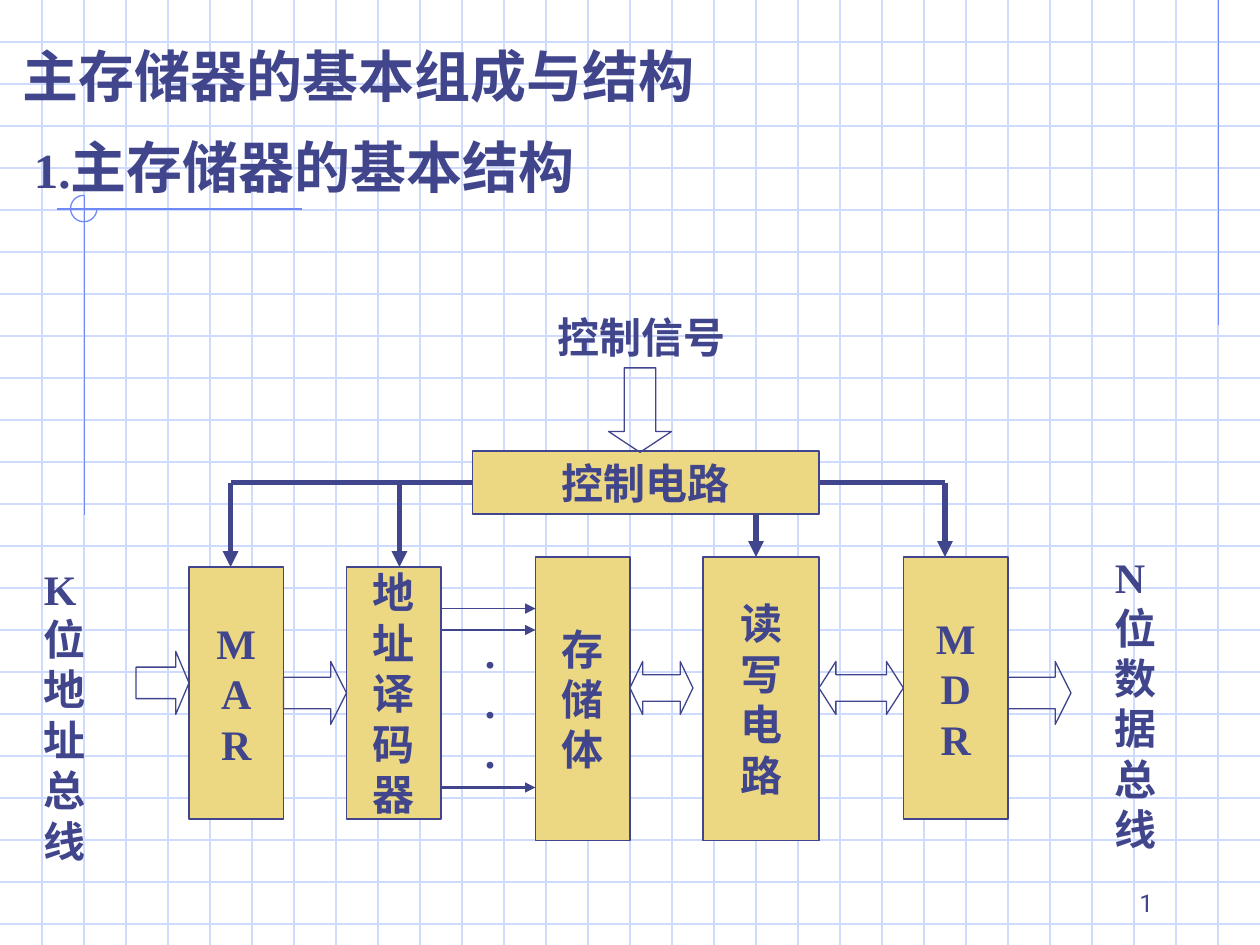
from dataclasses import dataclass

from lxml import etree
from pptx import Presentation
from pptx import util as u
from pptx.dml.color import RGBColor
from pptx.enum import shapes, text
from pptx.oxml.ns import qn

Inches, Pt = u.Inches, u.Pt
Shape, Align, Anchor = shapes.MSO_SHAPE, text.PP_ALIGN, text.MSO_ANCHOR


@dataclass(frozen=True)
class Theme:
    ink: RGBColor = RGBColor(0x40, 0x45, 0x8C)
    box: RGBColor = RGBColor(0xEC, 0xD8, 0x82)
    grid: RGBColor = RGBColor(0xCF, 0xDB, 0xFD)
    accent: RGBColor = RGBColor(0x6F, 0x89, 0xF7)
    sans: str = "Roboto"
    serif: str = "Times New Roman"
    title: int = 32
    number: int = 28
    body: int = 24
    page: int = 14
    thin: float = 0.75
    medium: float = 1.5
    thick: float = 3


T = Theme()


def add_run(p, words, size=T.body, font=T.serif, bold=True):
    r = p.add_run()
    r.text = words
    r.font.size, r.font.name, r.font.bold = Pt(size), font, bold
    r.font.color.rgb = T.ink


def add_line(s, start, end, color=T.ink, width=T.thin, arrow=False):
    c = s.shapes.add_connector(shapes.MSO_CONNECTOR.STRAIGHT,
                               *map(Inches, start + end))
    c.line.color.rgb, c.line.width = color, Pt(width)
    pr = c.element.spPr
    if arrow:
        etree.SubElement(pr.find(qn("a:ln")), qn("a:tailEnd"), type="triangle")
    etree.SubElement(pr, qn("a:effectLst"))


def add_outline(s, kind, at, adjust=(), color=T.ink):
    sp = s.shapes.add_shape(kind, *map(Inches, at))
    sp.shadow.inherit = False
    sp.fill.background()
    sp.line.color.rgb, sp.line.width = color, Pt(T.thin)
    for i, value in enumerate(adjust):
        sp.adjustments[i] = value
    return sp


def add_box(s, rows, at):
    sp = add_outline(s, Shape.RECTANGLE, at)
    sp.fill.solid()
    sp.fill.fore_color.rgb = T.box
    tf = sp.text_frame
    tf.word_wrap, tf.vertical_anchor = False, Anchor.MIDDLE
    for i, row in enumerate(rows):
        p = tf.add_paragraph() if i else tf.paragraphs[0]
        p.alignment = Align.CENTER
        add_run(p, row)


def add_label(s, at, before=15):
    tf = s.shapes.add_textbox(*map(Inches, at)).text_frame
    tf.word_wrap, tf.auto_size = True, text.MSO_AUTO_SIZE.SHAPE_TO_FIT_TEXT
    p = tf.paragraphs[0]
    p.space_before = Pt(before)
    return p


def add_background(s):
    for i in range(1, 23):
        add_line(s, (0, i / 3), (10, i / 3), T.grid)
    for i in range(1, 30):
        add_line(s, (i / 3, 0), (i / 3, 7.5), T.grid)
    add_line(s, (9.67, 0), (9.67, 2.58), T.accent)
    add_line(s, (2.4, 1.66), (0.45, 1.66), T.accent)
    add_line(s, (0.67, 1.55), (0.67, 4.09), T.accent)
    add_outline(s, Shape.ARC, (0.56, 1.55, 0.21, 0.21), (0, 162), T.accent)


def add_page_number(s):
    tf = s.shapes.add_textbox(*map(Inches, (7.17, 6.83, 2.08, 0.5))).text_frame
    tf.word_wrap, tf.vertical_anchor = True, Anchor.BOTTOM
    tf.paragraphs[0].alignment = Align.RIGHT
    add_run(tf.paragraphs[0], "1", T.page, T.sans, False)


def add_diagram(s):
    for rows, at in (
        ("MAR", (1.5, 4.5, 0.75, 2)),
        ("地址译码器", (2.75, 4.5, 0.75, 2)),
        ("存储体", (4.25, 4.42, 0.75, 2.25)),
        ("读写电路", (5.58, 4.42, 0.92, 2.25)),
        ("MDR", (7.17, 4.42, 0.83, 2.08)),
        (["控制电路"], (3.75, 3.58, 2.75, 0.5)),
    ):
        add_box(s, rows, at)

    for kind, at, head in (
        (Shape.RIGHT_ARROW, (1.08, 5.17, 0.42, 0.5), 0.25),
        (Shape.RIGHT_ARROW, (2.25, 5.25, 0.5, 0.5), 0.25),
        (Shape.LEFT_RIGHT_ARROW, (5, 5.25, 0.5, 0.42), 0.24),
        (Shape.LEFT_RIGHT_ARROW, (6.5, 5.25, 0.67, 0.42), 0.32),
        (Shape.RIGHT_ARROW, (8, 5.25, 0.5, 0.5), 0.25),
        (Shape.DOWN_ARROW, (4.83, 2.92, 0.5, 0.67), 0.33),
    ):
        add_outline(s, kind, at, (0.5, head))

    for y, width in ((4.83, T.thin), (5, T.thin), (6.25, T.medium)):
        add_line(s, (3.5, y), (4.25, y), width=width, arrow=True)

    bus = 3.83
    for start, end in ((6.5, 7.5), (3.75, 1.83)):
        add_line(s, (start, bus), (end, bus), width=T.thick)
    for x, top, bottom in ((6, 4.08, 4.42), (7.5, bus, 4.42),
                           (1.83, bus, 4.5), (3.17, bus, 4.5)):
        add_line(s, (x, top), (x, bottom), width=T.thick, arrow=True)

    for words, at in (
        ("K位地址总线", (0.25, 4.42, 0.58, 2.5)),
        ("...", (3.75, 4.92, 0.2, 1.3)),
        ("N位数据总线", (8.75, 4.33, 0.5, 2.9)),
        ("控制信号", (4.33, 2.42, 2.25, 0.5)),
    ):
        add_run(add_label(s, at), words)


def add_headings(s):
    p = add_label(s, (0.17, 1, 4.92, 0.64), 20)
    add_run(p, "1.", T.number)
    add_run(p, "主存储器的基本结构", T.title)

    title = s.shapes.title
    title.left, title.top, title.width, title.height = map(
        Inches, (0.08, 0.08, 8.5, 0.83))
    tf = title.text_frame
    tf.vertical_anchor, tf.auto_size = Anchor.BOTTOM, text.MSO_AUTO_SIZE.NONE
    tf.paragraphs[0].alignment = Align.LEFT
    add_run(tf.paragraphs[0], "主存储器的基本组成与结构", T.title, T.sans)
    title.element.getparent().append(title.element)


def main():
    prs = Presentation()
    prs.slide_width, prs.slide_height = Inches(10), Inches(7.5)
    s = prs.slides.add_slide(prs.slide_layouts[5])
    add_background(s)
    add_page_number(s)
    add_diagram(s)
    add_headings(s)
    prs.save("out.pptx")


if __name__ == "__main__":
    main()
